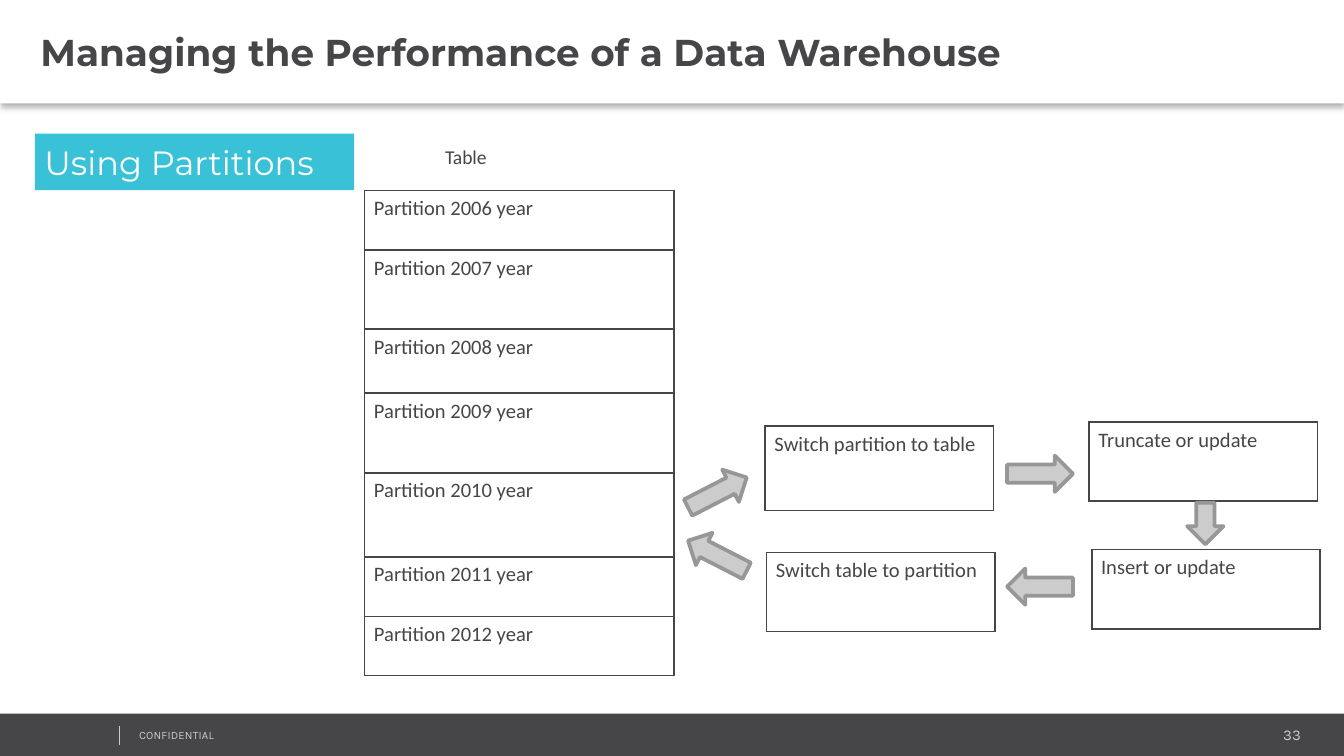
from dataclasses import dataclass

from lxml.etree import SubElement
from pptx import Presentation
from pptx.dml.color import RGBColor
from pptx.enum.shapes import MSO_CONNECTOR, MSO_SHAPE
from pptx.enum.text import MSO_ANCHOR, MSO_AUTO_SIZE, PP_ALIGN
from pptx.oxml.ns import qn
from pptx.util import Inches, Pt

DARK = RGBColor(0x46, 0x45, 0x47)
WHITE = RGBColor(0xFF, 0xFF, 0xFF)
TEAL = RGBColor(0x39, 0xC2, 0xD7)
LIGHT_GRAY = RGBColor(0xCC, 0xCC, 0xCC)
MID_GRAY = RGBColor(0x97, 0x97, 0x97)
COLUMNS, ROWS = 100, 56.25
UNIT = Inches(0.1)
PARTITION_ROWS = [4.45, 5.87, 4.77, 5.93, 6.25, 4.45, 4.4]
FIRST_YEAR = 2006


@dataclass
class Box:
    """A region measured in grid columns and rows."""
    left: float
    top: float
    width: float
    height: float

    def inner(self, left, top, width, height):
        """Return a box placed relative to this one."""
        return Box(self.left + left, self.top + top, width, height)

    def frame(self):
        """Return the position and size as slide lengths."""
        return [round(value * UNIT) for value in (self.left, self.top, self.width, self.height)]


def write(text_frame, text, size, font_name, color, bold=False, align=PP_ALIGN.LEFT,
          insets=(0.07, 0.04), wrap=True):
    """Fill a text frame with one formatted paragraph."""
    text_frame.text = text
    text_frame.auto_size = MSO_AUTO_SIZE.NONE
    text_frame.word_wrap = wrap
    text_frame.margin_left = text_frame.margin_right = Inches(insets[0])
    text_frame.margin_top = text_frame.margin_bottom = Inches(insets[1])
    paragraph = text_frame.paragraphs[0]
    paragraph.alignment = align
    font = paragraph.runs[0].font
    font.size, font.name, font.bold = Pt(size), font_name, bold
    font.color.rgb = color
    return paragraph.runs[0]


def add_block(slide, box, fill, kind=MSO_SHAPE.RECTANGLE):
    """Add a filled shape without line or shadow."""
    shape = slide.shapes.add_shape(kind, *box.frame())
    shape.shadow.inherit = False
    shape.fill.solid()
    shape.fill.fore_color.rgb = fill
    shape.line.fill.background()
    return shape


def add_label(slide, box, text, size, font_name, color, **options):
    """Add a text box holding one line."""
    label = slide.shapes.add_textbox(*box.frame())
    return write(label.text_frame, text, size, font_name, color, **options)


def add_footer(slide, box):
    """Draw the footer bar with its divider, notice and page number."""
    add_block(slide, box, DARK)
    add_label(slide, box.inner(81.2, 0.5, 16.3, 2.1), "33", 8, "Karla", LIGHT_GRAY,
              align=PP_ALIGN.RIGHT)
    notice = add_label(slide, box.inner(9.65, 0.7, 25.3, 1.8), "CONFIDENTIAL", 6, "Karla",
                       LIGHT_GRAY)
    notice._r.get_or_add_rPr().set("spc", "10")
    left, top, _, height = box.inner(8.9, 0.9, 0, 1.4).frame()
    divider = slide.shapes.add_connector(MSO_CONNECTOR.STRAIGHT, left, top, left, top + height)
    divider.line.color.rgb = LIGHT_GRAY
    divider.line.width = Pt(0.25)
    SubElement(divider._element.spPr, qn("a:effectLst"))


def add_title(slide, box):
    """Turn the title placeholder into a white band with a soft shadow."""
    title = slide.shapes.title
    title.left, title.top, title.width, title.height = box.frame()
    title.fill.solid()
    title.fill.fore_color.rgb = WHITE
    effects = SubElement(title._element.spPr, qn("a:effectLst"))
    shadow = SubElement(effects, qn("a:outerShdw"), blurRad=str(Pt(3.1)), dist=str(Pt(2)),
                        dir="5400000", algn="t", rotWithShape="0")
    color = SubElement(shadow, qn("a:srgbClr"), val="000000")
    SubElement(color, qn("a:alpha"), val="30000")
    write(title.text_frame, "Managing the Performance of a Data Warehouse", 20, "Montserrat",
          DARK, bold=True)
    title.text_frame.margin_left = Inches(0.3)
    title.text_frame.vertical_anchor = MSO_ANCHOR.MIDDLE


def add_topic(slide, box):
    """Draw the teal topic tag."""
    tag = add_block(slide, box, TEAL)
    write(tag.text_frame, "Using Partitions", 18, "Montserrat", WHITE, insets=(0.07, 0.06))
    tag.text_frame.vertical_anchor = MSO_ANCHOR.MIDDLE


def add_border(cell):
    """Give a cell a thin dark line on every side."""
    properties = cell._tc.get_or_add_tcPr()
    for side in ("lnL", "lnR", "lnT", "lnB"):
        line = SubElement(properties, qn(f"a:{side}"), w=str(Pt(1)))
        fill = SubElement(line, qn("a:solidFill"))
        SubElement(fill, qn("a:srgbClr"), val=str(DARK))


def add_column(slide, box, texts, heights):
    """Add a bordered one-column table."""
    table = slide.shapes.add_table(len(texts), 1, *box.frame()).table
    table.first_row = table.horz_banding = False
    for row, text, height in zip(table.rows, texts, heights):
        row.height = round(height * UNIT)
        cell = row.cells[0]
        cell.margin_left = cell.margin_right = Inches(0.07)
        cell.margin_top = cell.margin_bottom = Inches(0.04)
        add_border(cell)
        cell.fill.background()
        cell.text_frame.text = text
        font = cell.text_frame.paragraphs[0].runs[0].font
        font.size, font.name, font.bold = Pt(11), "Calibri", False
        font.color.rgb = DARK


def add_partitions(slide, box):
    """Draw the partitioned table under its caption."""
    add_label(slide, box.inner(5, 0, 5.3, 2.8), "Table", 10.5, "Calibri", DARK,
              insets=(0.1, 0.05), wrap=False)
    years = [f"Partition {FIRST_YEAR + index} year" for index in range(len(PARTITION_ROWS))]
    add_column(slide, box.inner(0, 3.87, box.width, sum(PARTITION_ROWS)), years, PARTITION_ROWS)


def add_arrow(slide, box, rotation):
    """Draw a gray block arrow turned by the given angle."""
    arrow = add_block(slide, box, LIGHT_GRAY, MSO_SHAPE.RIGHT_ARROW)
    arrow.line.color.rgb = MID_GRAY
    arrow.line.width = Pt(2)
    arrow.rotation = rotation


def add_switch_cycle(slide, box):
    """Draw the four steps of switching a partition out and back."""
    steps = [
        ("Switch partition to table", 6, 0.3, 6.3),
        ("Truncate or update", 30.1, 0, 5.9),
        ("Insert or update", 30.3, 9.5, 5.9),
        ("Switch table to partition", 6.1, 9.7, 5.9),
    ]
    for text, left, top, height in steps:
        add_column(slide, box.inner(left, top, 17, height), [text], [height])
    arrows = [
        (0, 3.9, 4.9, 332.8),
        (24, 2.5, 4.9, 0),
        (37.2, 6.2, 3.1, 90),
        (24, 10.9, 4.9, 180),
        (0, 8.6, 4.9, 207.2),
    ]
    for left, top, length, rotation in arrows:
        add_arrow(slide, box.inner(left, top, length, 2.7), rotation)


def main():
    """Build and save the slide."""
    presentation = Presentation()
    presentation.slide_width = round(COLUMNS * UNIT)
    presentation.slide_height = round(ROWS * UNIT)
    slide = presentation.slides.add_slide(presentation.slide_layouts[5])
    add_footer(slide, Box(0, 53.1, COLUMNS, 3.3))
    add_title(slide, Box(0, 0, COLUMNS, 7.7))
    add_topic(slide, Box(2.6, 9.94, 23.75, 4.2))
    add_partitions(slide, Box(27.13, 10.3, 23, 40.1))
    add_switch_cycle(slide, Box(50.93, 31.4, 47.3, 15.6))
    presentation.save("out.pptx")


if __name__ == "__main__":
    main()
